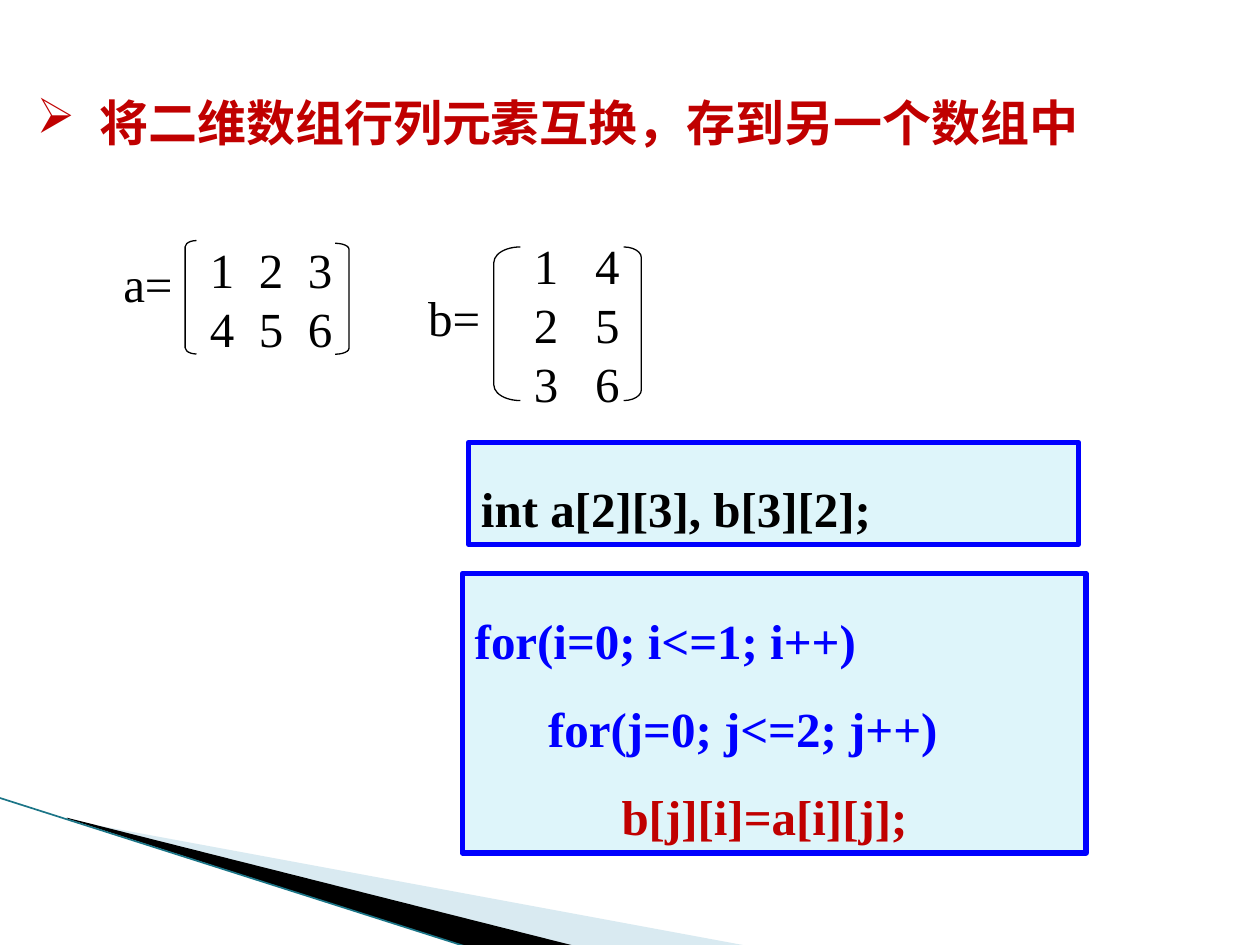
from lxml import etree
from pptx import Presentation
from pptx.dml.color import RGBColor
from pptx.enum import shapes, text
from pptx.oxml.ns import qn
from pptx.util import Pt

SERIF = "Times New Roman"
CJK = "Noto Sans CJK SC"
BLACK, BLUE, RED = "000000", "0000FF", "C00000"


def paint(target, color):
    target.solid()
    target.fore_color.rgb = RGBColor.from_string(color)


def style(r, color=BLACK, bold=False, font=SERIF):
    r.font.size, r.font.name, r.font.bold = Pt(28), font, bold
    r.font.color.rgb = RGBColor.from_string(color)
    ea = etree.SubElement(r._r.get_or_add_rPr(), qn("a:ea"))
    ea.set("typeface", font)


def add_wedge(s, points, color, alpha=None):
    pts = [(Pt(x), Pt(y)) for x, y in points]
    builder = s.shapes.build_freeform(*pts[0])
    builder.add_line_segments(pts[1:])
    sp = builder.convert_to_shape()
    sp.shadow.inherit = False
    paint(sp.fill, color)
    sp.line.fill.background()
    if alpha:
        clr = sp._element.spPr.find(".//" + qn("a:srgbClr"))
        etree.SubElement(clr, qn("a:alpha")).set("val", str(alpha * 1000))


def add_edge(s, x1, y1, x2, y2, color):
    line = s.shapes.add_connector(
        shapes.MSO_CONNECTOR.STRAIGHT, Pt(x1), Pt(y1), Pt(x2), Pt(y2))
    paint(line.line.fill, color)
    line.line.width = Pt(0.95)
    etree.SubElement(line._element.spPr, qn("a:effectLst"))


def set_title(s, title):
    sp = s.shapes.title
    sp.left, sp.top, sp.width, sp.height = Pt(13.7), Pt(49), Pt(685.4), Pt(41)
    tf = sp.text_frame
    tf.text = title
    tf.auto_size = text.MSO_AUTO_SIZE.NONE
    tf.vertical_anchor = text.MSO_ANCHOR.TOP
    p = tf.paragraphs[0]
    p.alignment = text.PP_ALIGN.LEFT
    pPr = p._p.get_or_add_pPr()
    pPr.set("marL", str(Pt(36)))
    pPr.set("indent", str(Pt(-36)))
    etree.SubElement(pPr, qn("a:buChar")).set("char", "➢")
    style(p.runs[0], RED, True, CJK)


def add_text(s, x, y, w, h, lines, tabs=(), wrap=True):
    tf = s.shapes.add_textbox(Pt(x), Pt(y), Pt(w), Pt(h)).text_frame
    tf.word_wrap = wrap
    tf.text = "\n".join(lines)
    for p in tf.paragraphs:
        if tabs:
            tab_list = etree.SubElement(p._p.get_or_add_pPr(), qn("a:tabLst"))
            for pos in tabs:
                tab = etree.SubElement(tab_list, qn("a:tab"))
                tab.set("pos", str(Pt(pos)))
                tab.set("algn", "l")
        for r in p.runs:
            style(r)


def add_matrix(s, x, y, w, rows, step):
    tabs = [step * i for i in range(1, len(rows[0]))]
    lines = ["\t".join(str(value) for value in row) for row in rows]
    add_text(s, x, y, w, 7 + 34 * len(rows), lines, tabs)


def add_bracket(s, kind, x, y, w, h, curve):
    sp = s.shapes.add_shape(kind, Pt(x), Pt(y), Pt(w), Pt(h))
    sp.adjustments[0] = curve
    sp.shadow.inherit = False
    sp.fill.background()
    paint(sp.line.fill, BLACK)
    sp.line.width = Pt(0.75)


def add_code(s, x, y, w, h, lines):
    sp = s.shapes.add_shape(
        shapes.MSO_SHAPE.RECTANGLE, Pt(x), Pt(y), Pt(w), Pt(h))
    sp.shadow.inherit = False
    paint(sp.fill, "DEF5FA")
    paint(sp.line.fill, BLUE)
    sp.line.width = Pt(3)
    tf = sp.text_frame
    tf.word_wrap = True
    tf.vertical_anchor = text.MSO_ANCHOR.MIDDLE
    tf.text = "\n".join(line for line, _ in lines)
    for p, (_, color) in zip(tf.paragraphs, lines):
        p.alignment = text.PP_ALIGN.LEFT
        p.line_spacing = 1.5
        style(p.runs[0], color, True)


def main():
    prs = Presentation()
    prs.slide_width, prs.slide_height = Pt(720), Pt(540)
    s = prs.slides.add_slide(prs.slide_layouts[5])

    add_wedge(s, [(39.6, 468.7), (428.4, 540.7), (328.3, 540.7), (39.6, 468)],
              "A0CBDC", 40)
    add_wedge(s, [(38.2, 467.3), (329, 540.7), (267.8, 541.4), (38.9, 468)],
              BLACK)
    add_edge(s, -0.7, 455.8, 267.8, 541.4, "1B7587")

    set_title(s, "将二维数组行列元素互换，存到另一个数组中")

    left = shapes.MSO_SHAPE.LEFT_BRACKET
    right = shapes.MSO_SHAPE.RIGHT_BRACKET
    add_text(s, 63.4, 141.1, 43.2, 41, ["a="], wrap=False)
    add_matrix(s, 112.8, 133.2, 98.8, [(1, 2, 3), (4, 5, 6)], 28)
    add_bracket(s, left, 105.8, 137.5, 6.5, 64.8, 0.55)
    add_bracket(s, right, 191.5, 139, 7.9, 63.4, 0.43)

    add_text(s, 237.6, 160.6, 44.6, 41, ["b="], wrap=False)
    add_matrix(s, 298, 131, 79.2, [(1, 4), (2, 5), (3, 6)], 35)
    add_bracket(s, left, 282.2, 141.1, 15.1, 87.8, 0.59)
    add_bracket(s, right, 356.4, 141.1, 10.1, 87.8, 0.6)

    add_code(s, 264.2, 327.6, 356.4, 159.8, [
        ("for(i=0; i<=1; i++)", BLUE),
        ("      for(j=0; j<=2; j++)", BLUE),
        ("            b[j][i]=a[i][j];", RED),
    ])
    add_code(s, 267.8, 252.7, 348.5, 58.3, [("int a[2][3], b[3][2];", BLACK)])

    prs.save("out.pptx")


if __name__ == "__main__":
    main()
